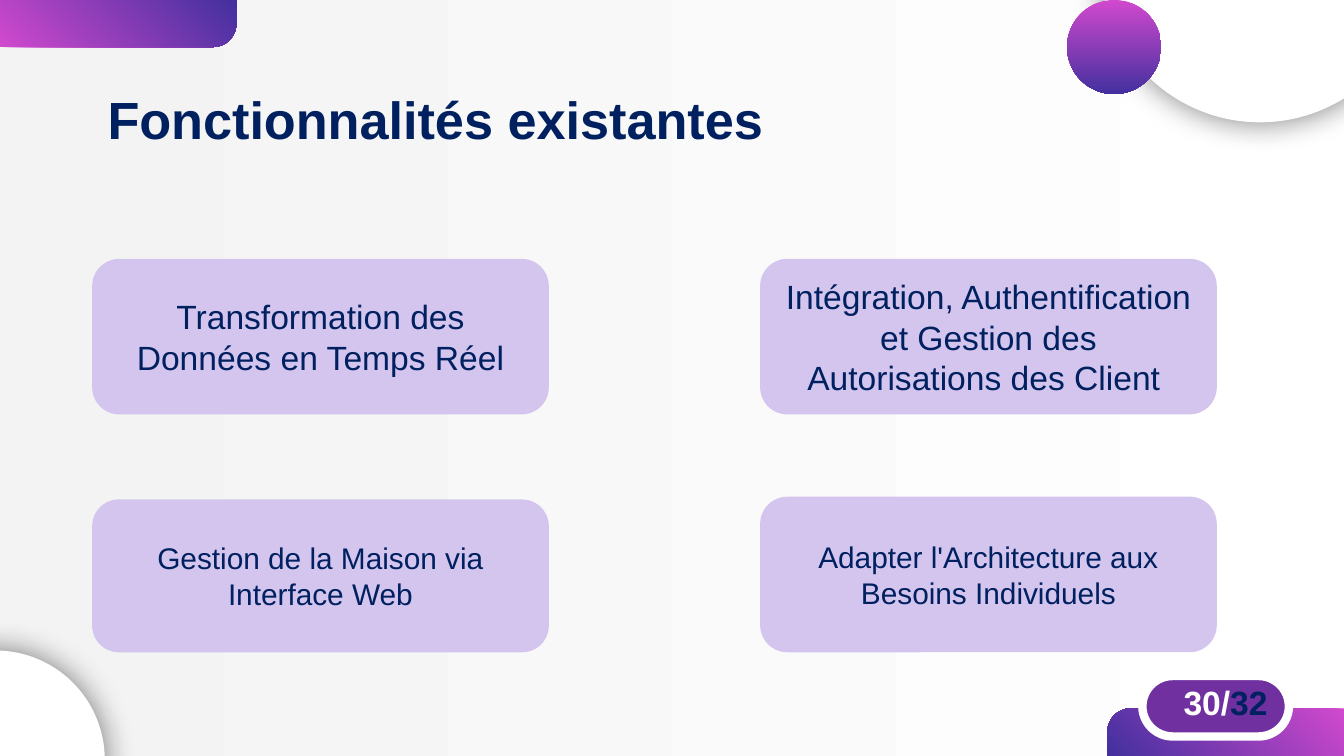
from lxml import etree
from pptx import Presentation
from pptx.dml.color import RGBColor
from pptx.enum.shapes import MSO_SHAPE
from pptx.enum.text import MSO_ANCHOR, MSO_AUTO_SIZE, PP_ALIGN
from pptx.oxml.ns import qn
from pptx.util import Inches, Pt

ELLIPSE = MSO_SHAPE.OVAL
ROUNDED = MSO_SHAPE.ROUNDED_RECTANGLE
CORNER = MSO_SHAPE.ROUND_1_RECTANGLE
TOP, MIDDLE = MSO_ANCHOR.TOP, MSO_ANCHOR.MIDDLE
LEFT, CENTER = PP_ALIGN.LEFT, PP_ALIGN.CENTER
FIXED = MSO_AUTO_SIZE.NONE

COLORS = {
    "white": "FFFFFF",
    "mist": "F3F3F3",
    "pink": "D149CE",
    "indigo": "43309F",
    "navy": "002060",
    "lilac": "D3C5ED",
    "purple": "7030A0",
}


class SlideBuilder:
    """Holds the style and the current slide."""

    font_name = "Arial"

    def __init__(self, page):
        self.page = page

    def color(self, name):
        return RGBColor.from_string(COLORS[name])

    def gradient(self, fill, start, end, angle):
        fill.gradient()
        fill.gradient_angle = angle
        for stop, name, position in zip(fill.gradient_stops, (start, end), (0, 1)):
            stop.color.rgb = self.color(name)
            stop.position = position

    def style_font(self, font, size, color, bold=False):
        font.name = self.font_name
        font.size = Pt(size)
        font.bold = bold
        font.color.rgb = self.color(color)

    def shape(self, kind, left, top, width, height, fill=None, line=None, line_width=2):
        box = self.page.shapes.add_shape(
            kind, Inches(left), Inches(top), Inches(width), Inches(height))
        box.shadow.inherit = False
        if fill:
            box.fill.solid()
            box.fill.fore_color.rgb = self.color(fill)
        if line:
            box.line.color.rgb = self.color(line)
            box.line.width = Pt(line_width)
        else:
            box.line.fill.background()
        return box

    def corner_tab(self, left, top, rotation):
        tab = self.shape(CORNER, left, top, 1.76, 0.35)
        tab.adjustments[0] = 0.5
        tab.rotation = rotation
        tab.element.spPr.find(qn("a:xfrm")).set("flipH", "1")
        self.gradient(tab.fill, "pink", "indigo", 315)

    def shadowed_disc(self, left, top, diameter):
        disc = self.shape(ELLIPSE, left, top, diameter, diameter, "white")
        effects = disc.element.spPr.find(qn("a:effectLst"))
        shadow = etree.SubElement(
            effects, qn("a:outerShdw"), blurRad=str(Pt(16.9)), dist="0", dir="0",
            algn="ctr", rotWithShape="0")
        black = etree.SubElement(shadow, qn("a:srgbClr"), val="000000")
        etree.SubElement(black, qn("a:alpha"), val="50000")

    def gradient_disc(self, left, top, diameter):
        disc = self.shape(ELLIPSE, left, top, diameter, diameter)
        self.gradient(disc.fill, "pink", "indigo", 270)

    def title(self, text, left, top, width, height):
        title = self.page.shapes.title
        title.left, title.top = Inches(left), Inches(top)
        title.width, title.height = Inches(width), Inches(height)
        frame = title.text_frame
        frame.text = text
        frame.auto_size = FIXED
        frame.vertical_anchor = TOP
        para = frame.paragraphs[0]
        para.alignment = LEFT
        self.style_font(para.font, 28, "navy", True)

    def card(self, text, left, top, height, size):
        box = self.shape(ROUNDED, left, top, 3.37, height, "lilac", "lilac")
        frame = box.text_frame
        frame.text = text
        frame.word_wrap = True
        frame.vertical_anchor = MIDDLE
        para = frame.paragraphs[0]
        para.alignment = CENTER
        self.style_font(para.font, size, "navy")

    def page_badge(self, current, total):
        pill = self.shape(ROUNDED, 8.5, 5.03, 1.09, 0.45, "purple", "white", 4.5)
        pill.adjustments[0] = 0.5
        frame = pill.text_frame
        frame.vertical_anchor = TOP
        frame.margin_left, frame.margin_right = Inches(0.24), 0
        frame.margin_top, frame.margin_bottom = Inches(-0.02), 0
        para = frame.paragraphs[0]
        para.alignment = LEFT
        for text, color in ((f"{current}/", "white"), (f"{total}", "navy")):
            span = para.add_run()
            span.text = text
            self.style_font(span.font, 18, color, True)


def main():
    deck = Presentation()
    deck.slide_width = Inches(10)
    deck.slide_height = deck.slide_width * 9 // 16
    page = deck.slides.add_slide(deck.slide_layouts[5])
    builder = SlideBuilder(page)
    builder.gradient(page.background.fill, "white", "mist", 180)

    builder.corner_tab(8.24, 5.27, 0)
    builder.corner_tab(0, 0, 180)
    builder.shadowed_disc(-0.85, 4.84, 1.63)
    builder.shadowed_disc(8.19, -1.46, 2.37)
    builder.gradient_disc(7.94, 0, 0.7)
    builder.title("Fonctionnalités existantes", 0.7, 0.6, 7.24, 0.57)

    left_column, right_column = 0.7, 5.67
    cards = [
        ("Transformation des Données en Temps Réel", left_column, 1.94, 1.13, 18),
        ("Intégration, Authentification et Gestion des Autorisations des Client ",
         right_column, 1.94, 1.13, 18),
        ("Gestion de la Maison via Interface Web", left_column, 3.73, 1.11, 16),
        ("Adapter l'Architecture aux Besoins Individuels", right_column, 3.71, 1.13, 16),
    ]
    for card in cards:
        builder.card(*card)
    builder.page_badge(30, 32)

    deck.save("out.pptx")


if __name__ == "__main__":
    main()
